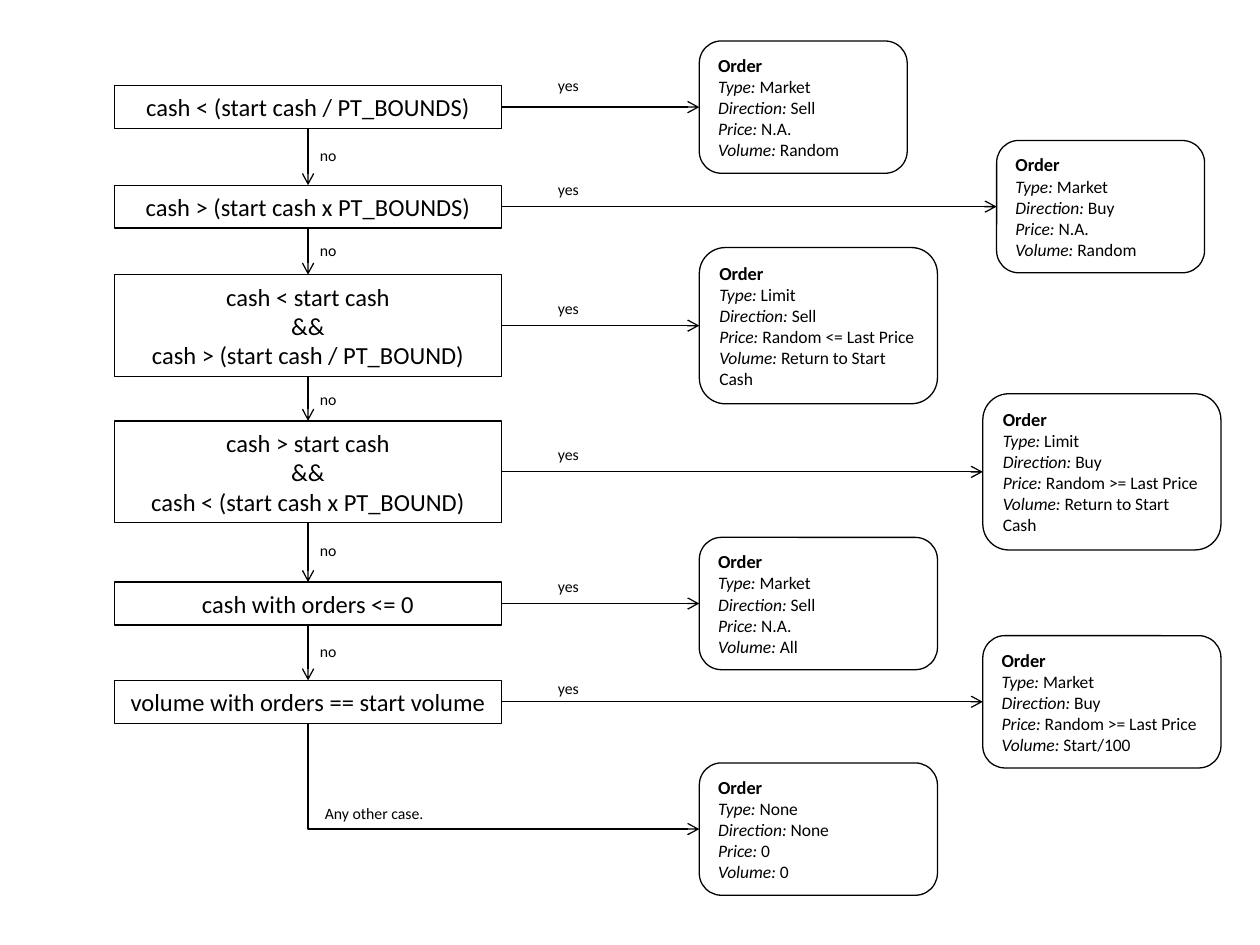
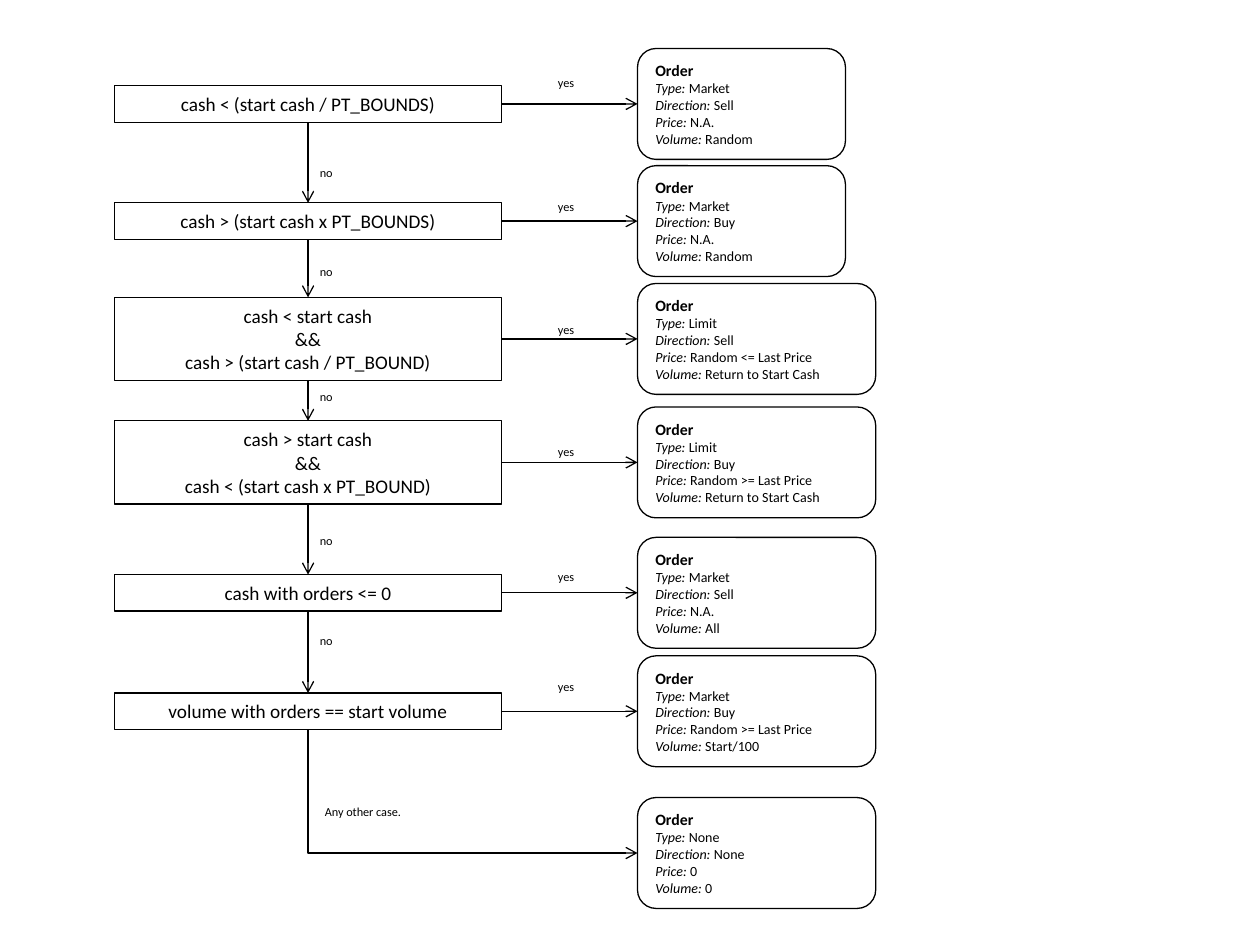
import pptx
import pptx.util
import pptx.dml.color
import pptx.enum.shapes
import pptx.enum.text
import pptx.oxml.ns
from lxml import etree

Inches, Pt = pptx.util.Inches, pptx.util.Pt
SHAPE = pptx.enum.shapes.MSO_SHAPE
CONNECTOR = pptx.enum.shapes.MSO_CONNECTOR
COLORS = {"paper": "FFFFFF", "ink": "000000"}
FONT = "Calibri"

# Content: each check, and the order it leads to
CHECKS = [
    ["cash < (start cash / PT_BOUNDS)"],
    ["cash > (start cash x PT_BOUNDS)"],
    ["cash < start cash", "&&", "cash > (start cash / PT_BOUND)"],
    ["cash > start cash", "&&", "cash < (start cash x PT_BOUND)"],
    ["cash with orders <= 0"],
    ["volume with orders == start volume"],
]
FIELDS = ["Type", "Direction", "Price", "Volume"]
ORDERS = [
    ("Market", "Sell", "N.A.", "Random"),
    ("Market", "Buy", "N.A.", "Random"),
    ("Limit", "Sell", "Random <= Last Price", "Return to Start Cash"),
    ("Limit", "Buy", "Random >= Last Price", "Return to Start Cash"),
    ("Market", "Sell", "N.A.", "All"),
    ("Market", "Buy", "Random >= Last Price", "Start/100"),
    ("None", "None", "0", "0"),
]

# Shared layout, then what differs between the wide and the compact chart
CHECK_X, CHECK_W = 0.91, 3.07
ORDER_W = [1.65, 1.65] + [1.89] * 5
YES_X, NO_X, LABEL_W = 4.33, 2.44, 0.87
OTHER_X, OTHER_Y, OTHER_W = 2.48, 6.33, 1.1
CHARTS = [
    dict(check_y=[0.68, 1.47, 2.18, 3.34, 4.62, 5.4],
         check_h={1: 0.34, 3: 0.81},
         order_x=[5.55, 7.91, 5.55, 7.8, 5.55, 7.8, 5.55],
         order_h=[1.05, 1.05, 1.24, 1.24, 1.05, 1.05, 1.05],
         last_center=6.58,
         yes_y=[0.55, 1.38, 2.32, 3.48, 4.53, 5.34],
         no_y=[1.11, 1.86, 3.04, 4.24, 5.04],
         label_h=0.25, check_pt=14, title_pt=10.5, field_pt=10, label_pt=9),
    dict(check_y=[0.68, 1.61, 2.36, 3.34, 4.56, 5.5],
         check_h={1: 0.29, 3: 0.66},
         order_x=[5.06] * 7,
         order_h=[0.88] * 7,
         last_center=6.77,
         yes_y=[0.55, 1.53, 2.51, 3.48, 4.47, 5.34],
         no_y=[1.26, 2.05, 3.04, 4.18, 4.98],
         label_h=0.22, check_pt=11, title_pt=9, field_pt=8, label_pt=7),
]
TOP, LEFT, BOTTOM, RIGHT = range(4)  # connection sites of a box


def color(name):
    return pptx.dml.color.RGBColor.from_string(COLORS[name])


def style(p, size):
    p.font.name, p.font.size = FONT, Pt(size)
    p.font.color.rgb = color("ink")


def add_box(s, kind, x, y, w, h):
    sp = s.shapes.add_shape(kind, Inches(x), Inches(y), Inches(w), Inches(h))
    sp.shadow.inherit = False
    sp.fill.background()
    sp.line.color.rgb = color("ink")
    sp.line.width = Pt(0.75)
    sp.text_frame.word_wrap = True
    return sp


def add_check(s, lines, y, h, size):
    sp = add_box(s, SHAPE.RECTANGLE, CHECK_X, y, CHECK_W, h)
    tf = sp.text_frame
    tf.text = "\n".join(lines)
    for p in tf.paragraphs:
        p.alignment = pptx.enum.text.PP_ALIGN.CENTER
        style(p, size)
    return sp


def add_order(s, values, x, center, w, h, title_pt, field_pt):
    sp = add_box(s, SHAPE.ROUNDED_RECTANGLE, x, center - h / 2, w, h)
    tf = sp.text_frame
    p = tf.paragraphs[0]
    p.text = "Order"
    p.font.bold = True
    style(p, title_pt)
    for field, value in zip(FIELDS, values):
        p = tf.add_paragraph()
        style(p, field_pt)
        r = p.add_run()
        r.text = field + ": "
        r.font.italic = True
        p.add_run().text = value
    for p in tf.paragraphs:
        p.alignment = pptx.enum.text.PP_ALIGN.LEFT
    return sp


def add_label(s, text, x, y, w, h, size):
    tf = s.shapes.add_textbox(Inches(x), Inches(y), Inches(w), Inches(h)).text_frame
    tf.word_wrap = True
    tf.text = text
    style(tf.paragraphs[0], size)


def add_arrow(s, x1=0, y1=0, x2=0, y2=0):
    c = s.shapes.add_connector(CONNECTOR.STRAIGHT, x1, y1, x2, y2)
    c.line.color.rgb = color("ink")
    c.line.width = Pt(0.75)
    qn = pptx.oxml.ns.qn
    etree.SubElement(c.line._get_or_add_ln(), qn("a:tailEnd"), type="arrow")
    etree.SubElement(c._element.spPr, qn("a:effectLst"))
    return c


def join(s, start, start_site, end, end_site):
    c = add_arrow(s)
    c.begin_connect(start, start_site)
    c.end_connect(end, end_site)


def add_corner_arrow(s, start, end):
    """Go down from start, then right into end: a one-bend connector, turned."""
    x1, y1 = start.left + start.width // 2, start.top + start.height
    x2, y2 = end.left, end.top + end.height // 2
    cx, cy = (x1 + x2) // 2, (y1 + y2) // 2
    half_w, half_h = (x2 - x1) // 2, (y2 - y1) // 2
    c = add_arrow(s, cx + half_h, cy - half_w, cx - half_h, cy + half_w)
    spPr = c._element.spPr
    spPr.find(pptx.oxml.ns.qn("a:prstGeom")).set("prst", "bentConnector2")
    spPr.find(pptx.oxml.ns.qn("a:xfrm")).set("rot", str(270 * 60000))


def add_chart_slide(prs, c):
    s = prs.slides.add_slide(prs.slide_layouts[6])
    s.background.fill.solid()
    s.background.fill.fore_color.rgb = color("paper")

    # Boxes: every order is centred on its check
    heights = [c["check_h"][len(lines)] for lines in CHECKS]
    checks = [add_check(s, lines, y, h, c["check_pt"])
              for lines, y, h in zip(CHECKS, c["check_y"], heights)]
    centers = [y + h / 2 for y, h in zip(c["check_y"], heights)] + [c["last_center"]]
    orders = [add_order(s, *place, c["title_pt"], c["field_pt"])
              for place in zip(ORDERS, c["order_x"], centers, ORDER_W, c["order_h"])]

    # Arrows
    for upper, lower in zip(checks, checks[1:]):
        join(s, upper, BOTTOM, lower, TOP)
    for check, order in zip(checks, orders):
        join(s, check, RIGHT, order, LEFT)
    add_corner_arrow(s, checks[-1], orders[-1])

    # Labels
    labels = [("yes", YES_X, y, LABEL_W) for y in c["yes_y"]]
    labels += [("no", NO_X, y, LABEL_W) for y in c["no_y"]]
    labels.append(("Any other case.", OTHER_X, OTHER_Y, OTHER_W))
    for label in labels:
        add_label(s, *label, c["label_h"], c["label_pt"])


def main():
    prs = pptx.Presentation()
    prs.slide_width, prs.slide_height = Inches(10), Inches(7.5)
    for chart in CHARTS:
        add_chart_slide(prs, chart)
    prs.save("out.pptx")


if __name__ == "__main__":
    main()
